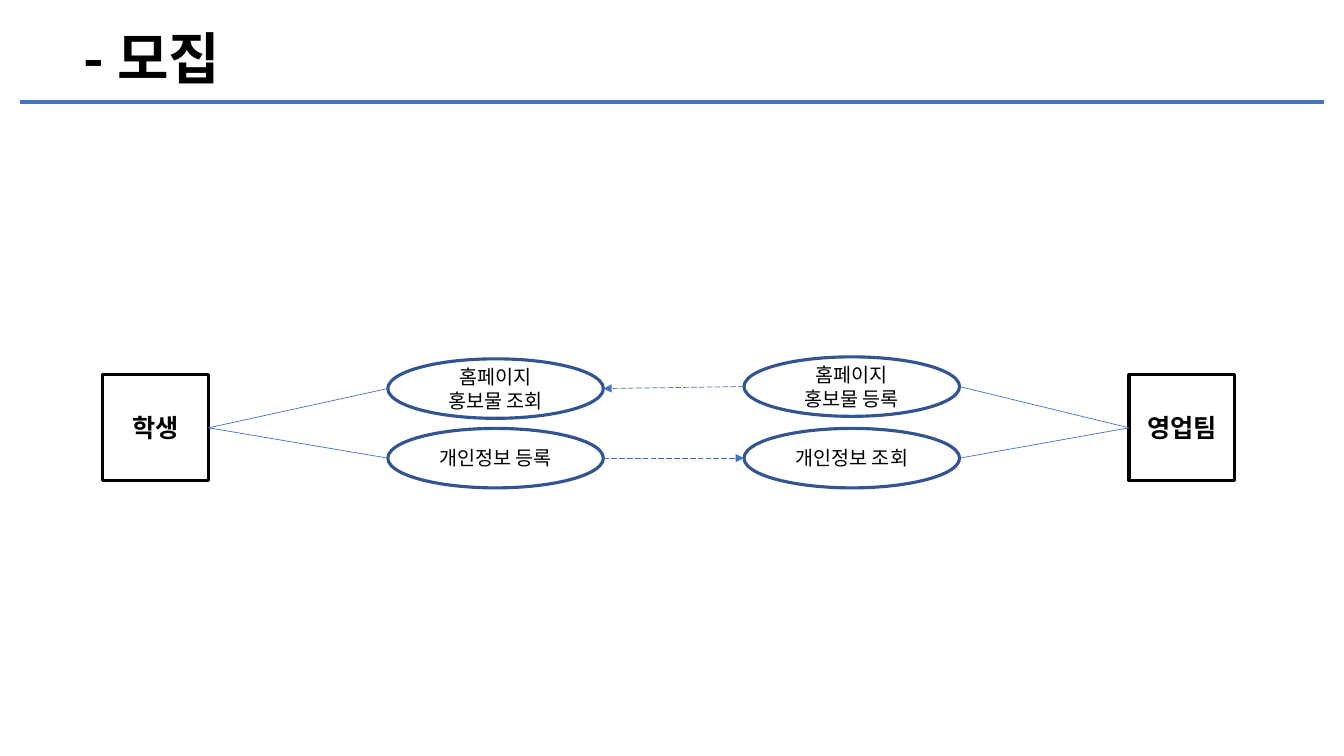
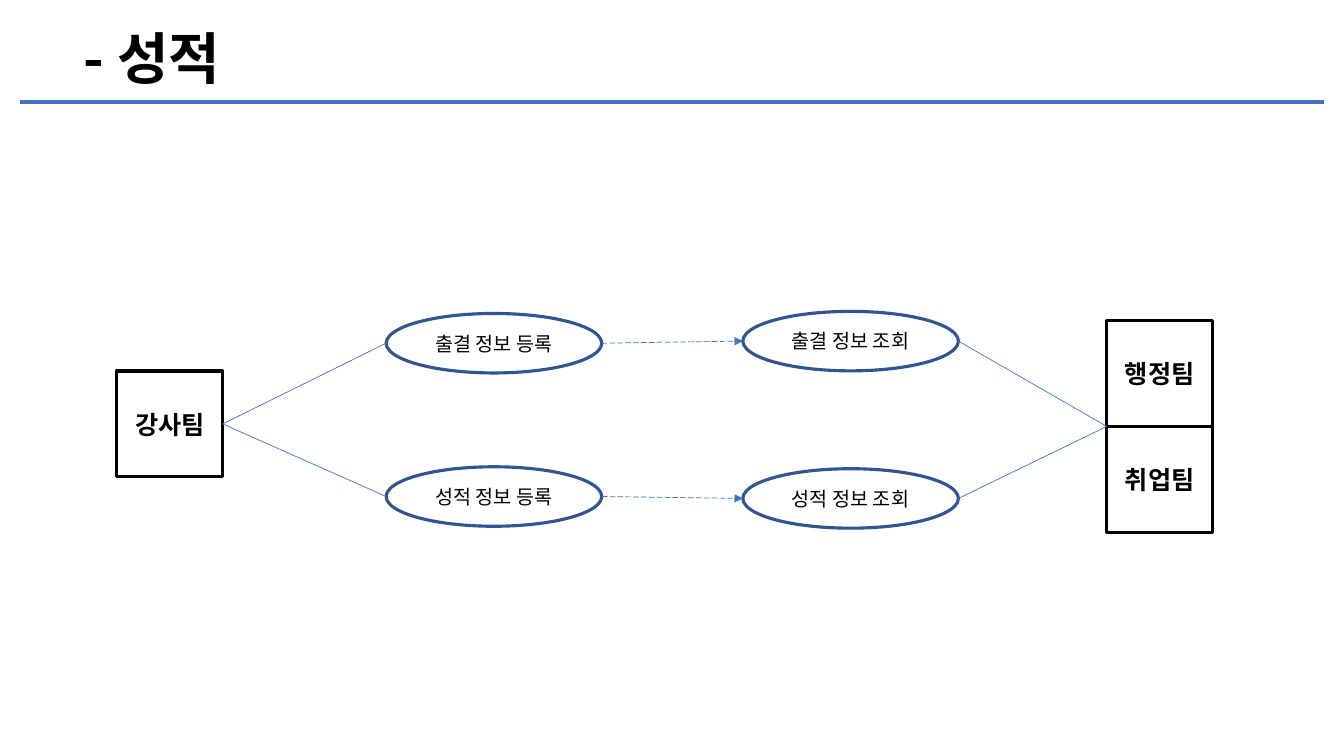
from dataclasses import dataclass
from typing import Any

from lxml import etree
from pptx import Presentation
from pptx.dml.color import RGBColor
from pptx.enum import dml, shapes, text
from pptx.oxml.ns import qn
from pptx.util import Pt

BLACK = RGBColor(0x00, 0x00, 0x00)
BLUE = RGBColor(0x44, 0x72, 0xC4)
NAVY = RGBColor(0x32, 0x54, 0x91)
FONT = "Noto Sans CJK KR"

TITLE_FONT = {"name": FONT, "size": Pt(40), "bold": True}
ACTOR_FONT = {"name": FONT, "size": Pt(18), "bold": True}
CASE_FONT = {"name": FONT, "size": Pt(14), "bold": False}

ACTOR_SIZE = 75.6
CASE_W, CASE_H = 154, 42.5
Point = tuple[float, float]


@dataclass(frozen=True)
class Actors:
    """Square boxes stacked without a gap; the links meet at mid-height."""
    left: float
    top: float
    names: tuple[str, ...]

    @property
    def middle(self) -> float:
        return self.top + ACTOR_SIZE * len(self.names) / 2


@dataclass(frozen=True)
class Case:
    label: str
    left: float
    top: float

    @property
    def west(self) -> Point:
        return self.left, self.top + CASE_H / 2

    @property
    def east(self) -> Point:
        return self.left + CASE_W, self.top + CASE_H / 2


@dataclass(frozen=True)
class Flow:
    """One row: a case on each side and the direction of the arrow."""
    left: Case
    right: Case
    to_right: bool = True


@dataclass(frozen=True)
class Diagram:
    title: str
    left: Actors
    right: Actors
    flows: tuple[Flow, ...]


DIAGRAMS = (
    Diagram("- 모집", Actors(73.4, 267.8, ("학생",)), Actors(806.4, 267.8, ("영업팀",)), (
        Flow(Case("홈페이지\n홍보물 조회", 277, 256.3),
             Case("홈페이지\n홍보물 등록", 531.4, 254.9), to_right=False),
        Flow(Case("개인정보 등록", 277, 306), Case("개인정보 조회", 531.4, 306)),
    )),
    Diagram("- 성적", Actors(83.5, 265, ("강사팀",)), Actors(790.6, 229, ("행정팀", "취업팀")), (
        Flow(Case("출결 정보 등록", 275.8, 223.9), Case("출결 정보 조회", 530.6, 222.4)),
        Flow(Case("성적 정보 등록", 275.8, 333.4), Case("성적 정보 조회", 530.6, 334.8)),
    )),
)


def write(tf: Any, content: str, font: dict[str, Any], align: text.PP_ALIGN) -> None:
    tf.text = content
    tf.word_wrap = True
    tf.vertical_anchor = text.MSO_ANCHOR.MIDDLE
    for p in tf.paragraphs:
        p.alignment = align
        for r in p.runs:
            for name, value in font.items():
                setattr(r.font, name, value)
            r.font.color.rgb = BLACK
            ea = etree.SubElement(r.font._element, qn("a:ea"))
            ea.set("typeface", FONT)


def add_line(s: Any, start: Point, end: Point, width: float, arrow: bool = False) -> None:
    """Draw a blue line; an arrow is dashed with a triangle at its end."""
    cx = s.shapes.add_connector(shapes.MSO_CONNECTOR.STRAIGHT,
                                *(Pt(v) for v in (*start, *end)))
    cx.line.color.rgb = BLUE
    cx.line.width = Pt(width)
    if arrow:
        cx.line.dash_style = dml.MSO_LINE.LONG_DASH
        tail = etree.SubElement(cx.line._get_or_add_ln(), qn("a:tailEnd"))
        tail.set("type", "triangle")
    etree.SubElement(cx._element.spPr, qn("a:effectLst"))


def add_outline(s: Any, kind: shapes.MSO_SHAPE, box: tuple[float, float, float, float],
                color: RGBColor, label: str, font: dict[str, Any]) -> None:
    sp = s.shapes.add_shape(kind, *(Pt(v) for v in box))
    sp.shadow.inherit = False
    sp.fill.background()
    sp.line.color.rgb = color
    sp.line.width = Pt(2.25)
    write(sp.text_frame, label, font, text.PP_ALIGN.CENTER)


def add_title(s: Any, title: str) -> None:
    add_line(s, (14.4, 72.7), (946, 72.7), 3)
    sp = s.shapes.title
    box = {"left": 52.6, "top": 13, "width": 432.7, "height": 55.4}
    for name, value in box.items():
        setattr(sp, name, Pt(value))
    write(sp.text_frame, title, TITLE_FONT, text.PP_ALIGN.LEFT)
    sp.text_frame.auto_size = text.MSO_AUTO_SIZE.NONE


def add_actors(s: Any, actors: Actors) -> None:
    for i, name in enumerate(actors.names):
        box = (actors.left, actors.top + i * ACTOR_SIZE, ACTOR_SIZE, ACTOR_SIZE)
        add_outline(s, shapes.MSO_SHAPE.RECTANGLE, box, BLACK, name, ACTOR_FONT)


def add_flow(s: Any, flow: Flow, d: Diagram) -> None:
    for case in (flow.left, flow.right):
        add_outline(s, shapes.MSO_SHAPE.OVAL, (case.left, case.top, CASE_W, CASE_H),
                    NAVY, case.label, CASE_FONT)
    add_line(s, (d.left.left + ACTOR_SIZE, d.left.middle), flow.left.west, 0.5)
    add_line(s, flow.right.east, (d.right.left, d.right.middle), 0.5)
    ends = (flow.left.east, flow.right.west)
    start, end = ends if flow.to_right else ends[::-1]
    add_line(s, start, end, 0.5, arrow=True)


def main() -> None:
    prs = Presentation()
    prs.slide_width, prs.slide_height = Pt(960), Pt(540)
    for d in DIAGRAMS:
        s = prs.slides.add_slide(prs.slide_layouts[5])
        add_title(s, d.title)
        for actors in (d.left, d.right):
            add_actors(s, actors)
        for flow in d.flows:
            add_flow(s, flow, d)
    prs.save("out.pptx")


if __name__ == "__main__":
    main()
